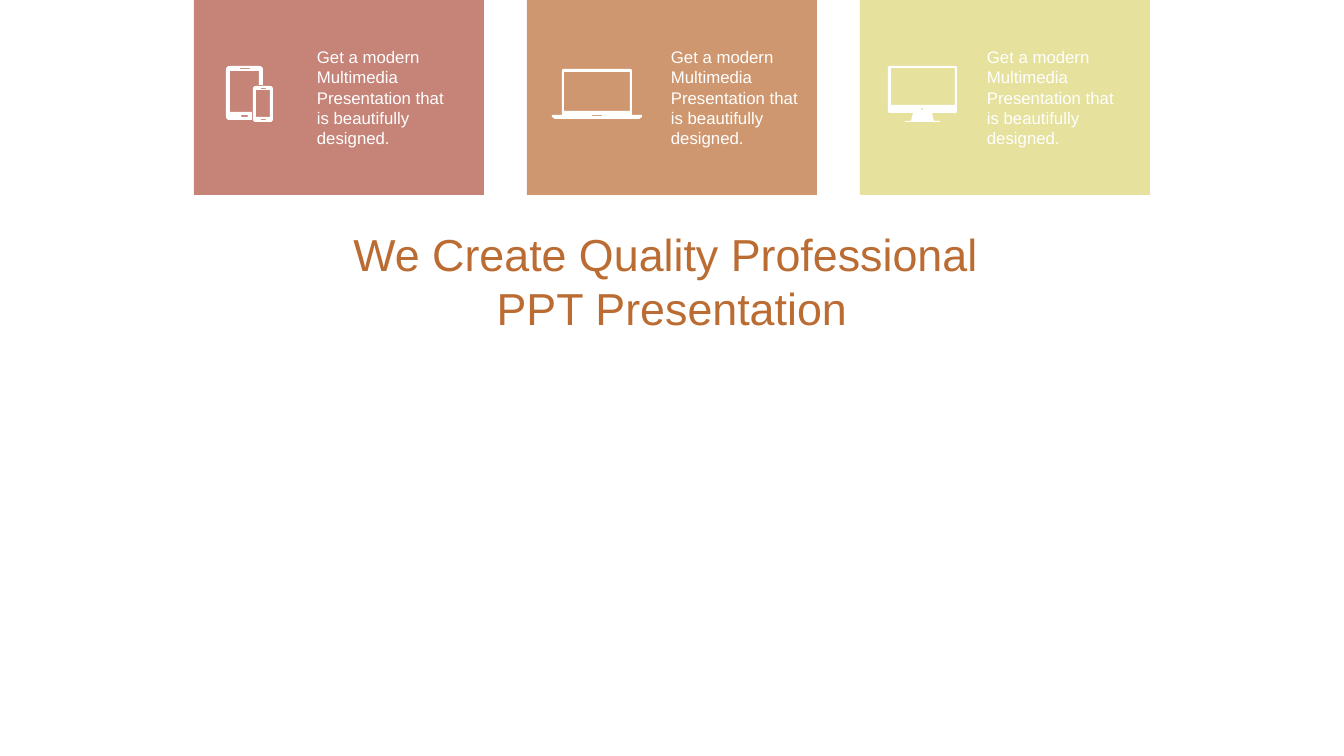
from lxml import etree
from pptx import Presentation
from pptx import util as u
from pptx.dml.color import RGBColor
from pptx.enum import shapes, text
from pptx.oxml.ns import qn

PX = 914400 / 100.8
FINE = 10
STEPS = 4
COLORS = {"red": "AF4F3F", "orange": "BB6C32", "yellow": "DCD574", "white": "FFFFFF"}
FONT = "Arial"
BLURB = "Get a modern Multimedia Presentation that is beautifully designed."
TITLE = ["We Create Quality Professional ", "PPT Presentation"]


def box(l, t, r, b, radius=0):
    return [(l, t, radius), (r, t, radius), (r, b, radius), (l, b, radius)]


MOBILE = [
    [(226, 66, 4), (263, 66, 4), (263, 85), (259, 85), (259, 71), (230, 71),
     (230, 112), (252, 112), (252, 120), (226, 120, 4)],
    box(240, 68, 250, 69),
    box(241, 115, 248, 117, 1),
    box(253, 86, 273, 122, 3),
    box(256, 90, 270, 117),
    box(261, 88, 266, 89),
    box(261, 119, 266, 120),
]
LAPTOP = [
    [(562, 69, 2), (632, 69, 2), (632, 115), (642, 115), (642, 117), (639, 119),
     (555, 119), (552, 117), (552, 115), (562, 115)],
    box(564, 72, 630, 111),
    box(592, 115, 602, 116),
]
MONITOR = [
    [(888, 66, 2), (957, 66, 2), (957, 113, 2), (932, 113), (934, 121), (940, 121),
     (940, 122), (905, 122), (905, 121), (911, 121), (913, 113), (888, 113, 2)],
    box(891, 68, 955, 105),
    box(921, 108, 923, 110, 1),
]
CARDS = [("red", MOBILE, 307), ("orange", LAPTOP, 661), ("yellow", MONITOR, 977)]
CARD_LEFT, CARD_STEP, CARD_SIZE = 194, 333, (290, 195)
BLURB_TOP, BLURB_SIZE = 42, (154, 112)
TITLE_BOX = (0, 226, 1344, 109)


def px(*values):
    return [u.Emu(round(v * PX)) for v in values]


def paint(sp, color, alpha=None):
    sp.shadow.inherit = False
    sp.line.fill.background()
    sp.fill.solid()
    sp.fill.fore_color.rgb = RGBColor.from_string(COLORS[color])
    if alpha:
        clr = sp.fill._xPr.find(qn("a:solidFill"))[0]
        etree.SubElement(clr, qn("a:alpha"), val=str(alpha * 1000))


def write(tf, lines, size, color, align, frame):
    for name, value in frame.items():
        setattr(tf, name, value)
    for i, line in enumerate(lines):
        p = tf.paragraphs[0] if i == 0 else tf.add_paragraph()
        p.alignment = align
        r = p.add_run()
        r.text = line
        for name, value in {"name": FONT, "size": u.Pt(size)}.items():
            setattr(r.font, name, value)
        r.font.color.rgb = RGBColor.from_string(COLORS[color])


def outline(contour):
    points = []
    for i, (x, y, *radius) in enumerate(contour):
        if not radius or not radius[0]:
            points.append((x * FINE, y * FINE))
            continue
        ends = []
        for nx, ny, *_ in (contour[i - 1], contour[(i + 1) % len(contour)]):
            length = abs(nx - x) + abs(ny - y)
            ends.append(((nx - x) / length * radius[0], (ny - y) / length * radius[0]))
        (ax, ay), (bx, by) = ends
        for k in range(STEPS + 1):
            s = k / STEPS
            points.append(((x + ax * (1 - s) ** 2 + bx * s ** 2) * FINE,
                           (y + ay * (1 - s) ** 2 + by * s ** 2) * FINE))
    return points


def add_icon(sl, contours):
    first, *rest = [outline(c) for c in contours]
    fb = sl.shapes.build_freeform(*first[0], scale=PX / FINE)
    fb.add_line_segments(first[1:])
    for points in rest:
        fb.move_to(*points[0])
        fb.add_line_segments(points[1:])
    paint(fb.convert_to_shape(), "white")


def main():
    prs = Presentation()
    prs.slide_width, prs.slide_height = px(1344, 756)
    sl = prs.slides.add_slide(prs.slide_layouts[6])
    rect = shapes.MSO_SHAPE.RECTANGLE
    grow = text.MSO_AUTO_SIZE.SHAPE_TO_FIT_TEXT

    for i, (color, icon, blurb_left) in enumerate(CARDS):
        sp = sl.shapes.add_shape(rect, *px(CARD_LEFT + i * CARD_STEP, 0, *CARD_SIZE))
        paint(sp, color, 70)
        add_icon(sl, icon)
        tb = sl.shapes.add_textbox(*px(blurb_left, BLURB_TOP, *BLURB_SIZE))
        write(tb.text_frame, [BLURB], 12, "white", text.PP_ALIGN.LEFT,
              {"word_wrap": True, "auto_size": grow})

    sp = sl.shapes.add_shape(rect, *px(*TITLE_BOX))
    paint(sp, "white", 70)
    side = px(4)[0]
    write(sp.text_frame, TITLE, 32, "orange", text.PP_ALIGN.CENTER,
          {"word_wrap": True, "auto_size": grow, "margin_left": side, "margin_right": side,
           "margin_top": 0, "margin_bottom": 0, "vertical_anchor": text.MSO_ANCHOR.MIDDLE})
    prs.save("out.pptx")


if __name__ == "__main__":
    main()
